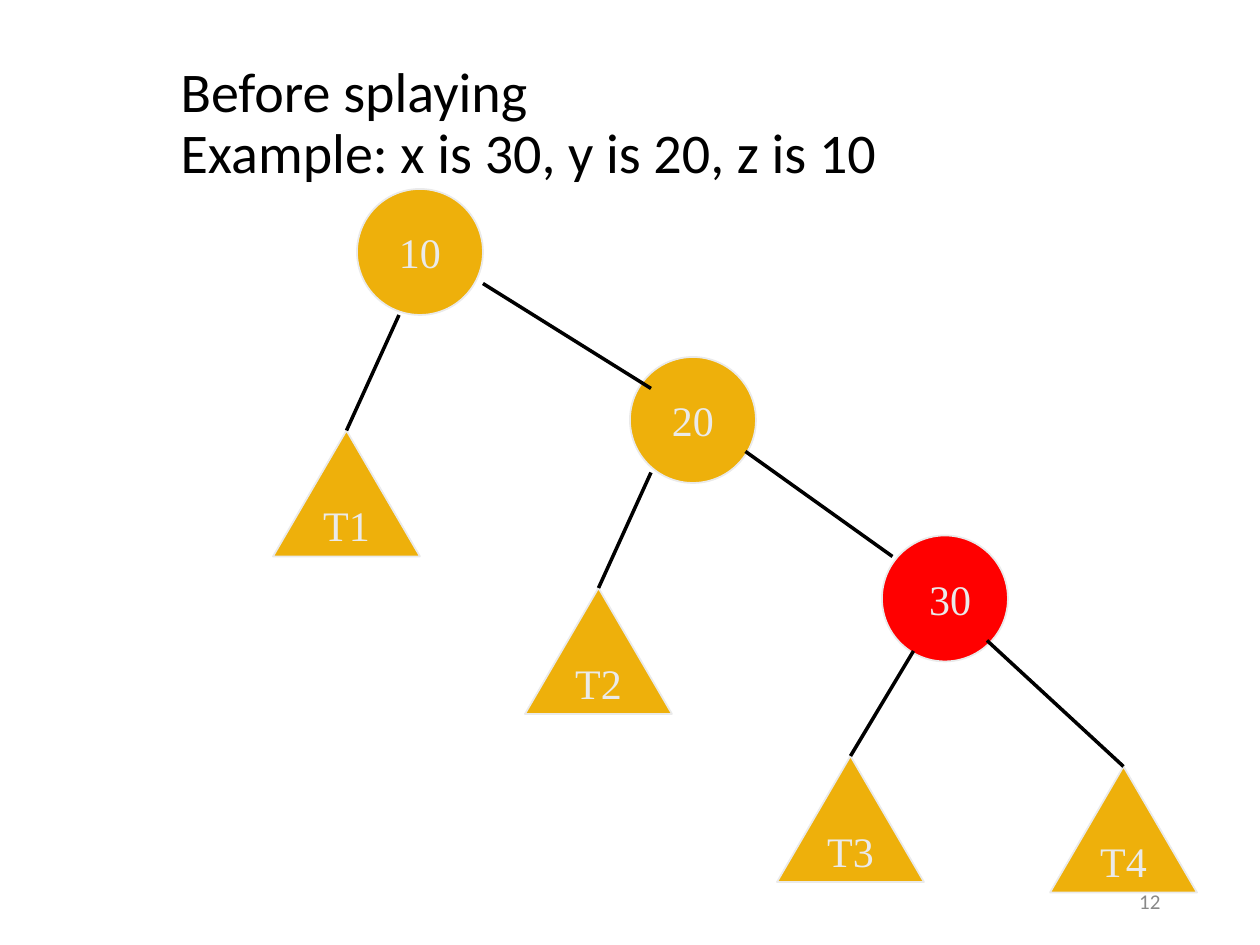
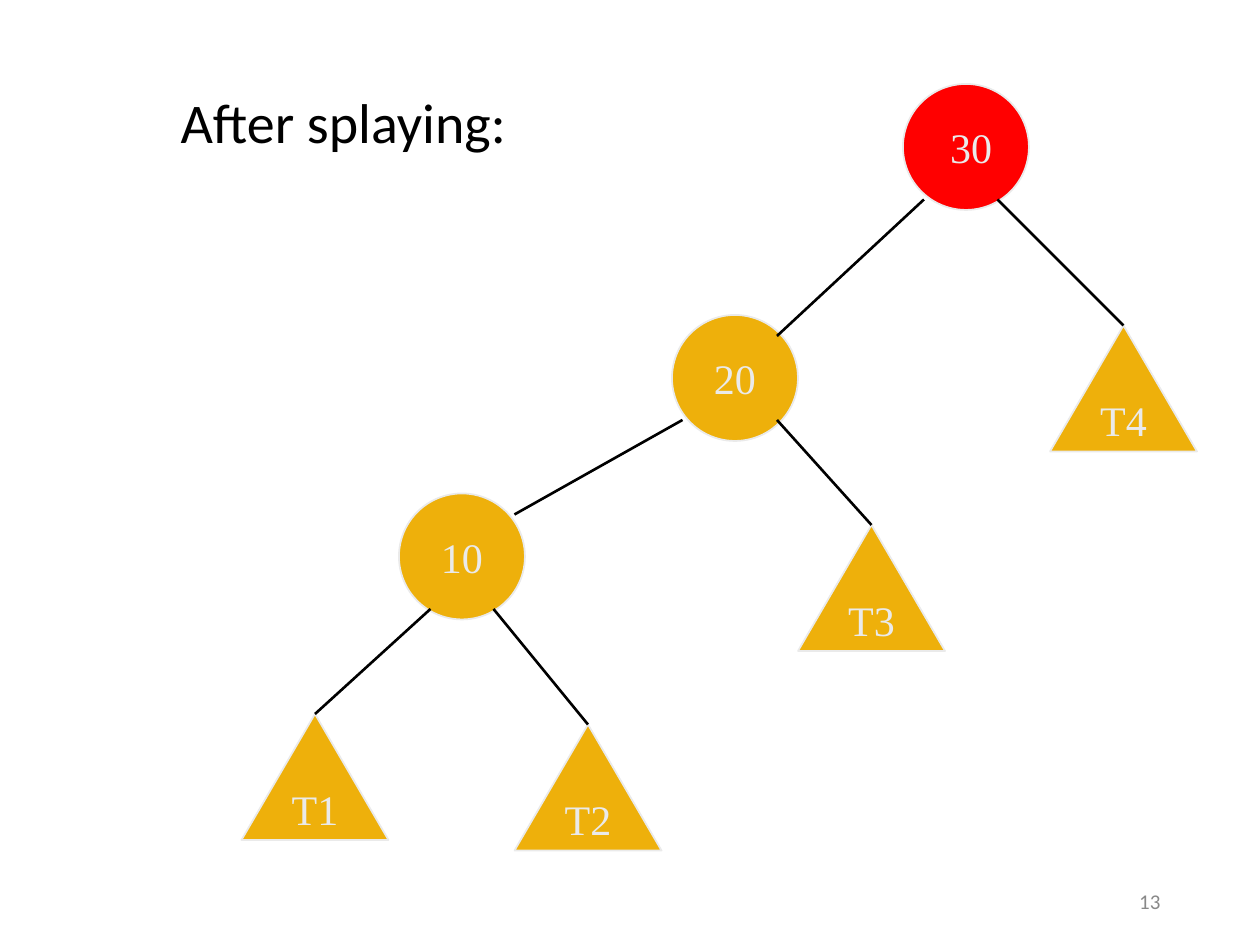
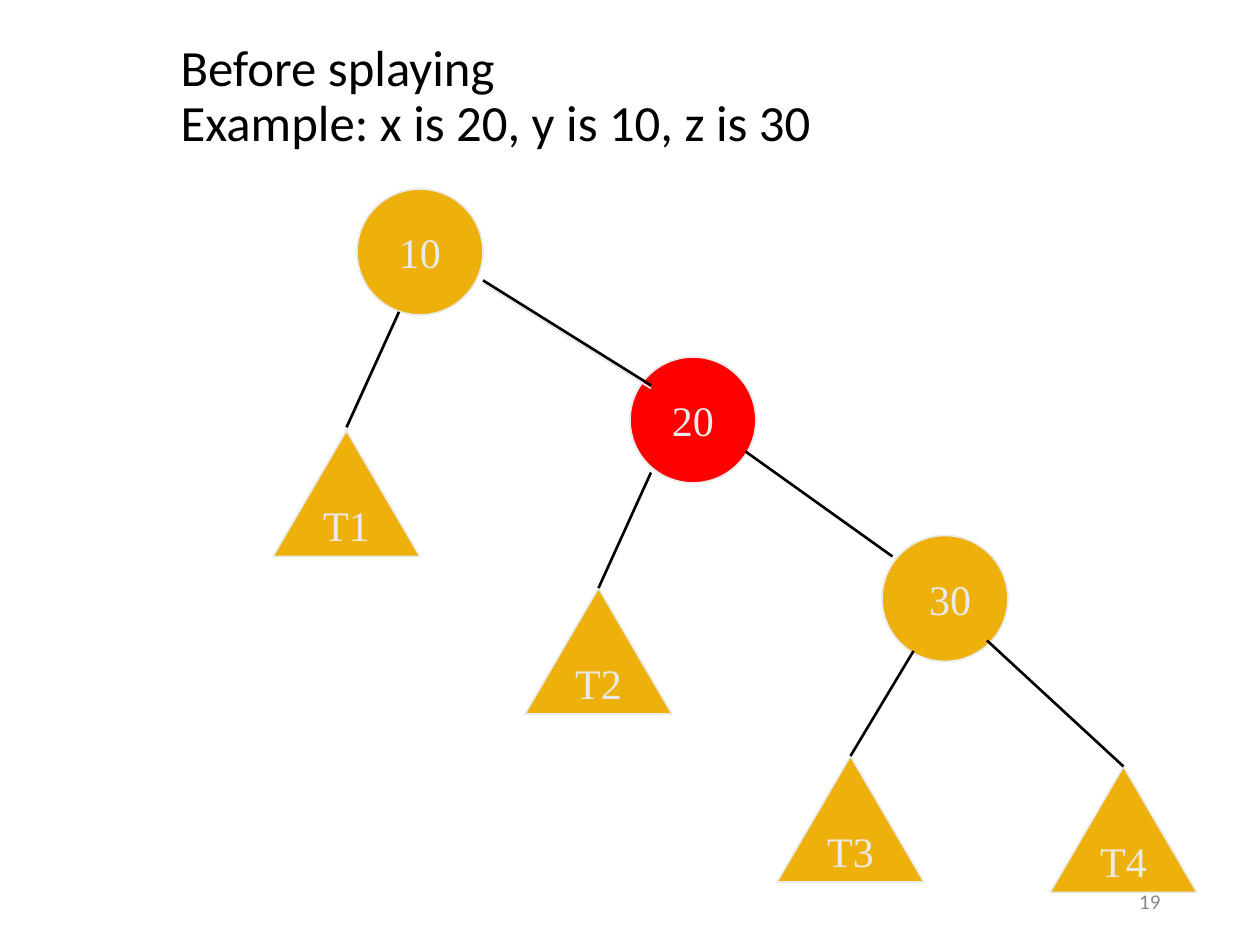
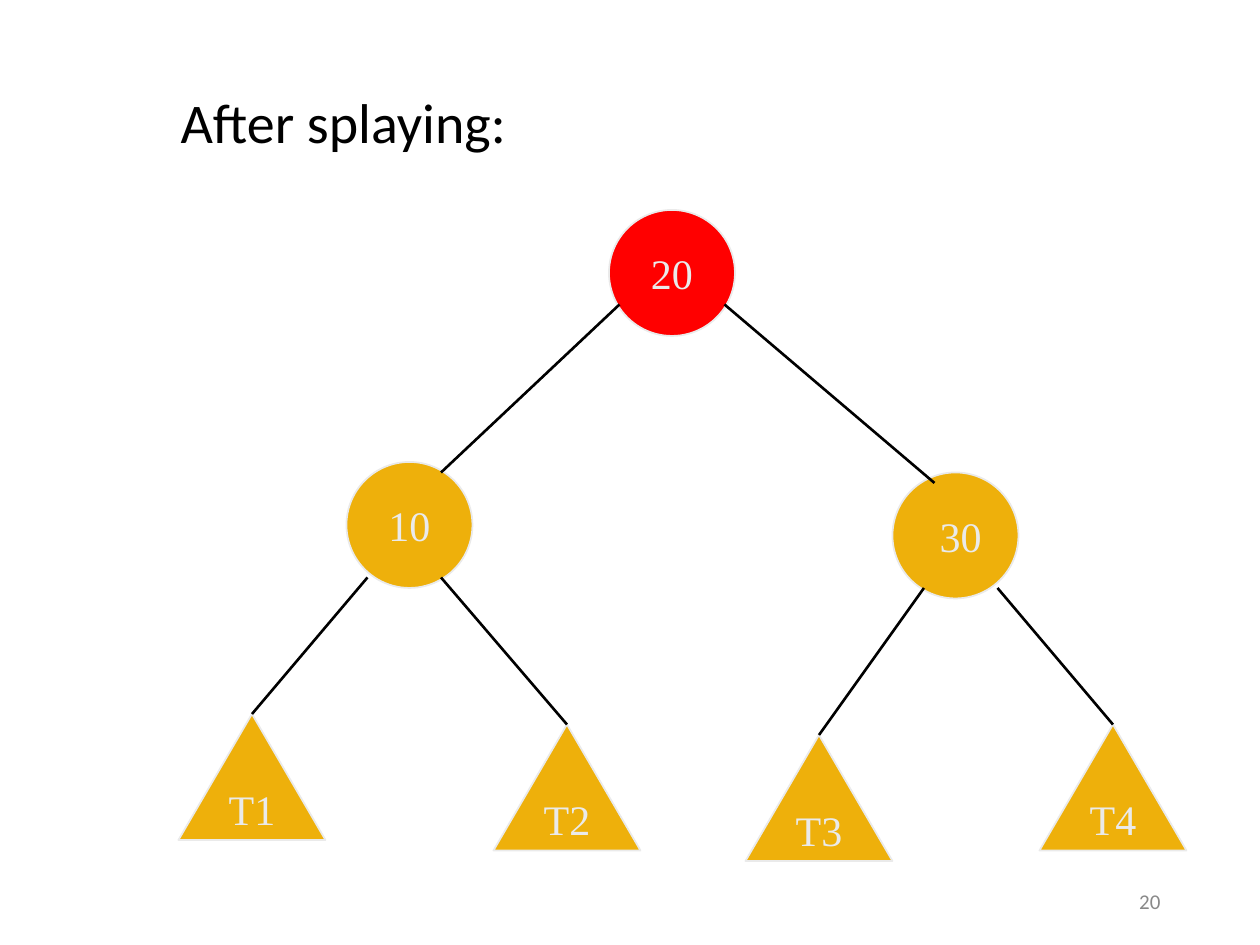
from dataclasses import dataclass

from lxml import etree
from pptx import Presentation
from pptx import util as u
from pptx.dml.color import RGBColor
from pptx.enum import shapes, text
from pptx.oxml.ns import qn

COLS, ROWS = 120, 90
NODE_SIZE, LEAF_WIDTH = 12, 14
GOLD, RED, PALE, BLACK, GREY = "EEB00B", "FF0000", "EAEAEA", "000000", "898989"
TITLE_FONT, LABEL_FONT = "Calibri", "Times New Roman"
LABEL_INSETS = {"30": 0.18}

prs = Presentation()
prs.slide_width, prs.slide_height = u.Inches(10), u.Inches(7.5)


@dataclass(frozen=True)
class Node:
    label: str
    col: float
    row: float


@dataclass(frozen=True)
class Leaf:
    label: str
    col: float
    row: float
    joint: tuple[float, float]

    @property
    def edge(self) -> "Edge":
        return Edge((self.col + LEAF_WIDTH / 2, self.row), self.joint)


@dataclass(frozen=True)
class Edge:
    start: tuple[float, float]
    end: tuple[float, float]

    def raised(self, rows: float) -> "Edge":
        return Edge((self.start[0], self.start[1] - rows), (self.end[0], self.end[1] - rows))


@dataclass(frozen=True)
class Tree:
    nodes: list[Node]
    leaves: list[Leaf]
    edges: list[Edge]


@dataclass(frozen=True)
class Page:
    number: int
    title: str
    tree: Tree
    x: str
    edge_width: float = 1.5
    title_size: float = 32
    title_bottom: float = 0.05
    doubled: tuple[Edge, ...] = ()


RIGHT_CHAIN = Tree(
    [Node("10", 34, 18), Node("20", 60, 34), Node("30", 84, 51)],
    [Leaf("T1", 26, 41, (38, 30)), Leaf("T3", 74, 72, (87, 62)),
     Leaf("T2", 50, 56, (62, 45)), Leaf("T4", 100, 73, (94, 61))],
    [Edge((46, 27), (62, 37)), Edge((71, 43), (85, 53))],
)
LEFT_CHAIN = Tree(
    [Node("10", 38, 47), Node("20", 64, 30), Node("30", 86, 8)],
    [Leaf("T1", 23, 68, (41, 58)), Leaf("T3", 76, 50, (74, 40)),
     Leaf("T2", 49, 69, (47, 58)), Leaf("T4", 100, 31, (95, 19))],
    [Edge((88, 19), (74, 32)), Edge((49, 49), (65, 40))],
)
BALANCED = Tree(
    [Node("10", 33, 44), Node("20", 58, 20), Node("30", 85, 45)],
    [Leaf("T1", 17, 68, (35, 55)), Leaf("T3", 71, 70, (88, 56)),
     Leaf("T2", 47, 69, (42, 55)), Leaf("T4", 99, 69, (95, 56))],
    [Edge((42, 45), (59, 29)), Edge((89, 46), (69, 29))],
)

PAGES = [
    Page(12, "Before splaying\vExample: x is 30, y is 20, z is 10", RIGHT_CHAIN, "30", edge_width=2),
    Page(13, "After splaying:", LEFT_CHAIN, "30"),
    Page(19, "Before splaying\vExample: x is 20, y is 10, z is 30", RIGHT_CHAIN, "20",
         title_size=29, title_bottom=0.49,
         doubled=(RIGHT_CHAIN.leaves[0].edge, RIGHT_CHAIN.edges[0])),
    Page(20, "After splaying:", BALANCED, "20"),
]


def color(value: str) -> RGBColor:
    return RGBColor.from_string(value)


def x(col: float) -> int:
    return round(prs.slide_width * col / COLS)


def y(row: float) -> int:
    return round(prs.slide_height * row / ROWS)


def box(col: float, row: float, cols: float, rows: float) -> tuple[int, int, int, int]:
    return x(col), y(row), x(cols), y(rows)


def write(tf, words: str, font: str, size: float, ink: str, align):
    tf.text = words
    tf.vertical_anchor = text.MSO_ANCHOR.MIDDLE
    p = tf.paragraphs[0]
    p.alignment = align
    p.font.name, p.font.size = font, u.Pt(size)
    p.font.color.rgb = color(ink)
    return p


def draw_title(s, page: Page) -> None:
    sp = s.shapes.title
    sp.left, sp.top, sp.width, sp.height = box(16, 4, 102, 15.8)
    tf = sp.text_frame
    tf.auto_size = text.MSO_AUTO_SIZE.NONE
    tf.margin_bottom = u.Inches(page.title_bottom)
    p = write(tf, page.title, TITLE_FONT, page.title_size, BLACK, text.PP_ALIGN.LEFT)
    p.line_spacing = 0.9


def draw_number(s, number: int) -> None:
    tf = s.shapes.add_textbox(*box(84.7, 83.4, 27, 4.8)).text_frame
    tf.word_wrap = True
    write(tf, str(number), TITLE_FONT, 12, GREY, text.PP_ALIGN.RIGHT)


def draw_vertex(s, vertex: Node | Leaf, fill: str) -> None:
    if isinstance(vertex, Leaf):
        kind, width = shapes.MSO_SHAPE.ISOSCELES_TRIANGLE, LEAF_WIDTH
    else:
        kind, width = shapes.MSO_SHAPE.OVAL, NODE_SIZE
    sp = s.shapes.add_shape(kind, *box(vertex.col, vertex.row, width, NODE_SIZE))
    sp.shadow.inherit = False
    sp.fill.solid()
    sp.fill.fore_color.rgb = color(fill)
    sp.line.color.rgb = color(PALE)
    sp.line.width = u.Pt(1)
    tf = sp.text_frame
    tf.word_wrap = False
    tf.margin_left = u.Inches(LABEL_INSETS.get(vertex.label, 0.1))
    write(tf, vertex.label, LABEL_FONT, 24, PALE, text.PP_ALIGN.CENTER)


def draw_edge(s, edge: Edge, ink: str, width: float) -> None:
    (c1, r1), (c2, r2) = edge.start, edge.end
    line = s.shapes.add_connector(shapes.MSO_CONNECTOR.STRAIGHT, x(c1), y(r1), x(c2), y(r2))
    line.line.color.rgb = color(ink)
    line.line.width = u.Pt(width)
    etree.SubElement(line._element.spPr, qn("a:effectLst"))


def draw_page(page: Page) -> None:
    s = prs.slides.add_slide(prs.slide_layouts[5])
    draw_title(s, page)
    draw_number(s, page.number)
    tree = page.tree
    for vertex in tree.nodes + tree.leaves:
        draw_vertex(s, vertex, RED if vertex.label == page.x else GOLD)
    for edge in [leaf.edge for leaf in tree.leaves] + tree.edges:
        if edge in page.doubled:
            draw_edge(s, edge, PALE, 1)
            edge = edge.raised(0.3)
        draw_edge(s, edge, BLACK, page.edge_width)


def main() -> None:
    for page in PAGES:
        draw_page(page)
    prs.save("out.pptx")


if __name__ == "__main__":
    main()
